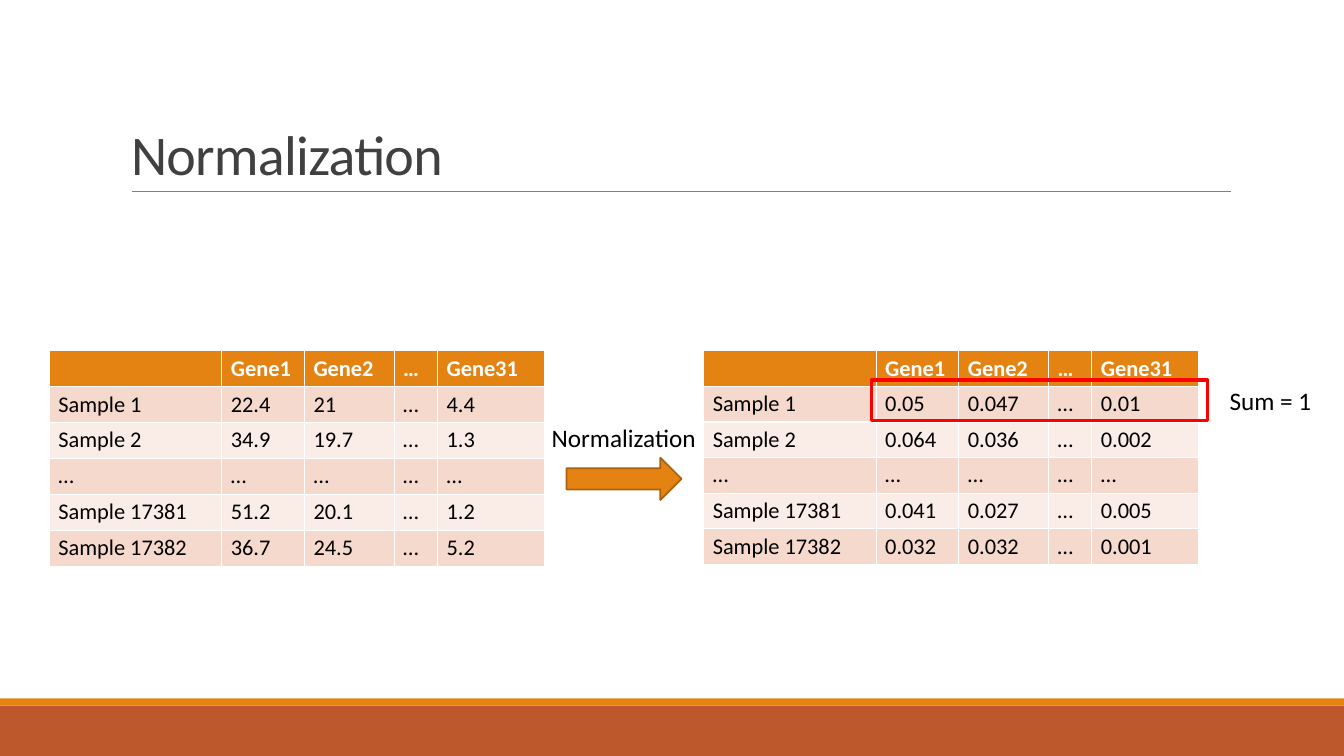
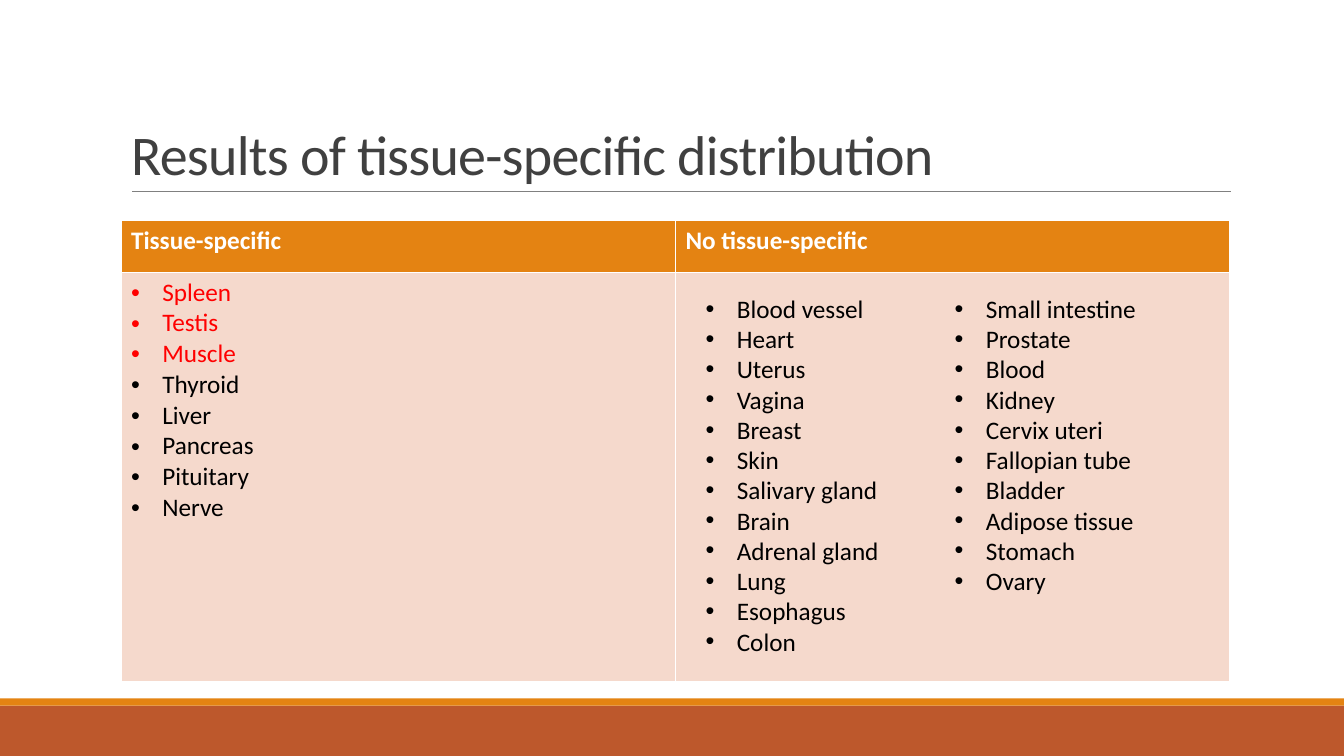
"""Build two slides on gene expression normalization and tissue-specific results."""
from lxml import etree
from pptx import Presentation
from pptx.dml.color import RGBColor
from pptx.enum.shapes import MSO_CONNECTOR, MSO_SHAPE
from pptx.enum.text import MSO_ANCHOR, MSO_AUTO_SIZE, PP_ALIGN
from pptx.oxml.ns import qn
from pptx.util import Inches, Pt

RECTANGLE, RIGHT_ARROW = MSO_SHAPE.RECTANGLE, MSO_SHAPE.RIGHT_ARROW
STRAIGHT = MSO_CONNECTOR.STRAIGHT
LEFT, CENTER = PP_ALIGN.LEFT, PP_ALIGN.CENTER
BOTTOM, NO_FIT = MSO_ANCHOR.BOTTOM, MSO_AUTO_SIZE.NONE

ORANGE = RGBColor(0xE4, 0x83, 0x12)
DARK_ORANGE = RGBColor(0xA9, 0x61, 0x0D)
RUST = RGBColor(0xBD, 0x58, 0x2C)
PINK = RGBColor(0xF5, 0xD9, 0xCC)
PALE_PINK = RGBColor(0xFA, 0xED, 0xE7)
DARK_GRAY = RGBColor(0x40, 0x40, 0x40)
GRAY = RGBColor(0x80, 0x80, 0x80)
RED = RGBColor(0xFF, 0x00, 0x00)
WHITE = RGBColor(0xFF, 0xFF, 0xFF)
BLACK = RGBColor(0x00, 0x00, 0x00)
FONT = "Calibri"

BODY = {"name": FONT, "size": Pt(18), "bold": False}
HEADING = {"name": FONT, "size": Pt(18), "bold": True}
TABLE_BODY = {"name": FONT, "size": Pt(16), "bold": False}
TABLE_HEADING = {"name": FONT, "size": Pt(16), "bold": True}
TITLE = {"name": FONT, "size": Pt(40), "bold": False}


def write_text(paragraph, text, font_format, color, alignment=LEFT):
    """Add one formatted run to a paragraph and return it."""
    paragraph.alignment = alignment
    run = paragraph.add_run()
    run.text = text
    for name, value in font_format.items():
        setattr(run.font, name, value)
    run.font.color.rgb = color
    return run


def write_bullets(text_frame, items, red_items=()):
    """Fill a text frame with bulleted items."""
    text_frame.word_wrap = True
    for index, item in enumerate(items):
        paragraph = text_frame.add_paragraph() if index else text_frame.paragraphs[0]
        properties = paragraph._p.get_or_add_pPr()
        properties.set("marL", str(Inches(0.31)))
        properties.set("indent", str(-Inches(0.31)))
        etree.SubElement(properties, qn("a:buFont")).set("typeface", "Arial")
        etree.SubElement(properties, qn("a:buChar")).set("char", "•")
        write_text(paragraph, item, BODY, RED if item in red_items else BLACK)


presentation = Presentation()
presentation.slide_width = Inches(13.33)
presentation.slide_height = Inches(7.5)
layout = presentation.slide_layouts[5]

layout_title = layout.placeholders[0]
title_place = {"left": 1.2, "top": 0.31, "width": 11, "height": 1.59}
for name, value in title_place.items():
    setattr(layout_title, name, Inches(value))

slides = []
for title in ("Normalization", "Results of tissue-specific distribution"):
    slide = presentation.slides.add_slide(layout)
    title_frame = slide.shapes.title.text_frame
    title_frame.vertical_anchor = BOTTOM
    title_frame.auto_size = NO_FIT
    title_frame.word_wrap = True
    paragraph = title_frame.paragraphs[0]
    paragraph.line_spacing = 0.85
    run = write_text(paragraph, title, TITLE, DARK_GRAY)
    run._r.get_or_add_rPr().set("spc", "-50")
    slides.append(slide)
normalization_slide, results_slide = slides

decorations = []
for top, height, color in ((7, 0.5, RUST), (6.93, 0.07, ORANGE)):
    band = normalization_slide.shapes.add_shape(
        RECTANGLE, 0, Inches(top), Inches(13.33), Inches(height))
    band.shadow.inherit = False
    band.fill.solid()
    band.fill.fore_color.rgb = color
    band.line.fill.background()
    decorations.append(band)
title_rule = normalization_slide.shapes.add_connector(
    STRAIGHT, Inches(1.31), Inches(1.9), Inches(12.21), Inches(1.9))
title_rule.line.color.rgb = GRAY
title_rule.line.width = Pt(0.5)
etree.SubElement(title_rule._element.spPr, qn("a:effectLst"))
decorations.append(title_rule)
for index, shape in enumerate(decorations):
    shape._element.xpath(".//p:cNvPr")[0].set("id", str(20 + index))
    layout.shapes._spTree.insert(2 + index, shape._element)

sample_names = ("Sample 1", "Sample 2", "…", "Sample 17381", "Sample 17382")
gene_names = ("", "Gene1", "Gene2", "…", "Gene31")
raw_values = (("22.4", "21", "…", "4.4"), ("34.9", "19.7", "…", "1.3"), ("…",) * 4,
              ("51.2", "20.1", "…", "1.2"), ("36.7", "24.5", "…", "5.2"))
normalized_values = (
    ("0.05", "0.047", "…", "0.01"), ("0.064", "0.036", "…", "0.002"), ("…",) * 4,
    ("0.041", "0.027", "…", "0.005"), ("0.032", "0.032", "…", "0.001"))
column_widths = (1.71, 0.82, 0.89, 0.43, 1.06)
cell_margins = {"margin_left": 0.09, "margin_right": 0.09,
                "margin_top": 0.04, "margin_bottom": 0.04}

for left, height, values in ((0.49, 2.14, raw_values), (6.98, 2.12, normalized_values)):
    rows = [gene_names] + [(name, *row) for name, row in zip(sample_names, values)]
    table = normalization_slide.shapes.add_table(
        len(rows), len(gene_names), Inches(left), Inches(3.48),
        Inches(sum(column_widths)), Inches(height)).table
    for column, width in zip(table.columns, column_widths):
        column.width = Inches(width)
    for row_index, row in enumerate(rows):
        for column_index, text in enumerate(row):
            cell = table.cell(row_index, column_index)
            for name, value in cell_margins.items():
                setattr(cell, name, Inches(value))
            cell.fill.solid()
            paragraph = cell.text_frame.paragraphs[0]
            if row_index == 0:
                cell.fill.fore_color.rgb = ORANGE
                font_format, color = TABLE_HEADING, WHITE
            else:
                cell.fill.fore_color.rgb = PINK if row_index % 2 else PALE_PINK
                font_format, color = TABLE_BODY, BLACK
            if text:
                write_text(paragraph, text, font_format, color)
            else:
                paragraph._p.get_or_add_endParaRPr().set("sz", "1600")

arrow = normalization_slide.shapes.add_shape(
    RIGHT_ARROW, Inches(5.62), Inches(4.54), Inches(1.14), Inches(0.42))
arrow.shadow.inherit = False
arrow.fill.solid()
arrow.fill.fore_color.rgb = ORANGE
arrow.line.color.rgb = DARK_ORANGE
arrow.line.width = Pt(1.25)

sum_frame = normalization_slide.shapes.add_shape(
    RECTANGLE, Inches(8.64), Inches(3.77), Inches(3.34), Inches(0.4))
sum_frame.shadow.inherit = False
sum_frame.fill.background()
sum_frame.line.color.rgb = RED
sum_frame.line.width = Pt(2.25)

for text, left, top, width in (("Normalization", 5.14, 4.14, 2.09),
                               ("Sum = 1", 11.9, 3.77, 1.4)):
    label = normalization_slide.shapes.add_textbox(
        Inches(left), Inches(top), Inches(width), Inches(0.4))
    label.text_frame.word_wrap = True
    write_text(label.text_frame.paragraphs[0], text, BODY, BLACK, CENTER)

specific_tissues = ("Spleen", "Testis", "Muscle", "Thyroid", "Liver", "Pancreas",
                    "Pituitary", "Nerve")
other_tissues = (
    ("Blood vessel", "Heart", "Uterus", "Vagina", "Breast", "Skin", "Salivary gland",
     "Brain", "Adrenal gland", "Lung", "Esophagus", "Colon"),
    ("Small intestine", "Prostate", "Blood", "Kidney", "Cervix uteri", "Fallopian tube",
     "Bladder", "Adipose tissue", "Stomach", "Ovary"))

results_table = results_slide.shapes.add_table(
    2, 2, Inches(1.2), Inches(2.19), Inches(11), Inches(4.57)).table
for row, height in zip(results_table.rows, (0.51, 4.06)):
    row.height = Inches(height)
for column_index, heading in enumerate(("Tissue-specific", "No tissue-specific")):
    for row_index, color in enumerate((ORANGE, PINK)):
        cell = results_table.cell(row_index, column_index)
        cell.fill.solid()
        cell.fill.fore_color.rgb = color
    heading_cell = results_table.cell(0, column_index)
    write_text(heading_cell.text_frame.paragraphs[0], heading, HEADING, WHITE)
write_bullets(results_table.cell(1, 0).text_frame, specific_tissues, specific_tissues[:3])

for index, tissues in enumerate(other_tissues):
    tissue_box = results_slide.shapes.add_textbox(
        Inches(6.9 + 2.47 * index), Inches(2.86), Inches(2.47),
        Inches(0.1 + 0.3 * len(tissues)))
    write_bullets(tissue_box.text_frame, tissues)

presentation.save("out.pptx")
